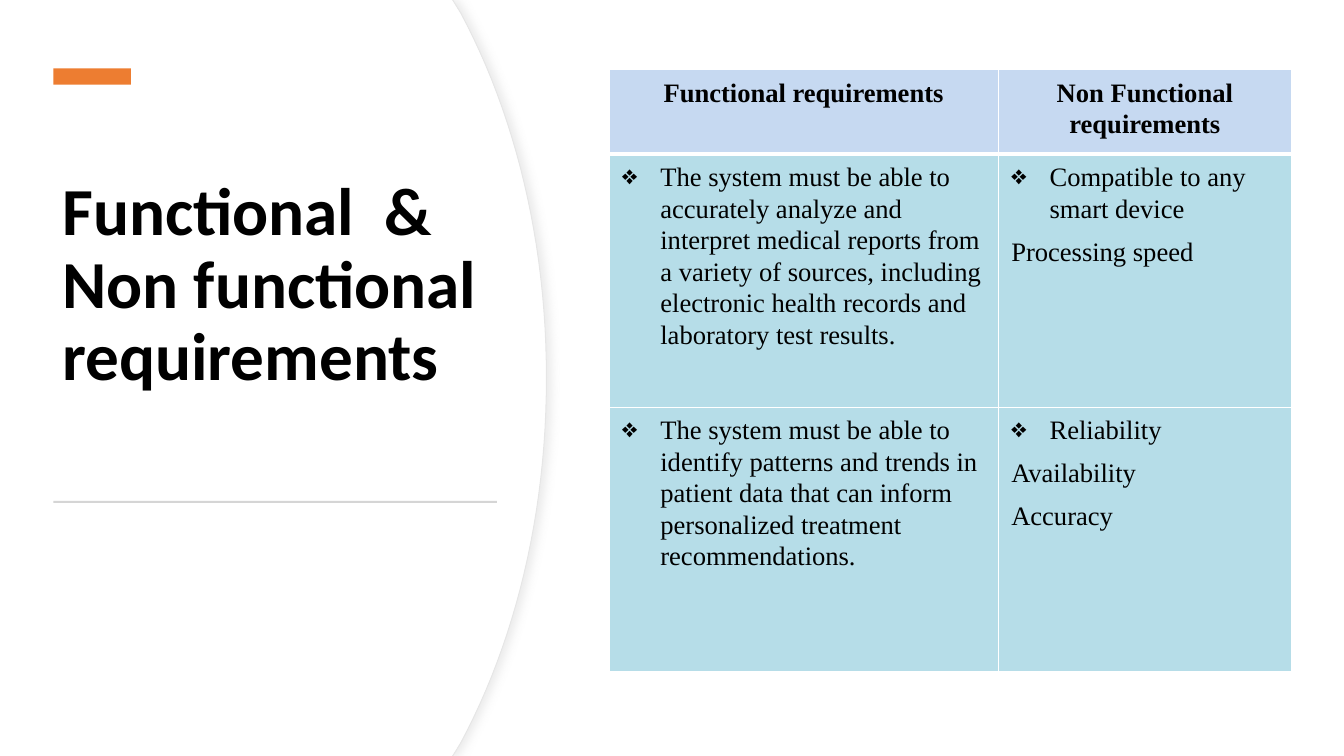
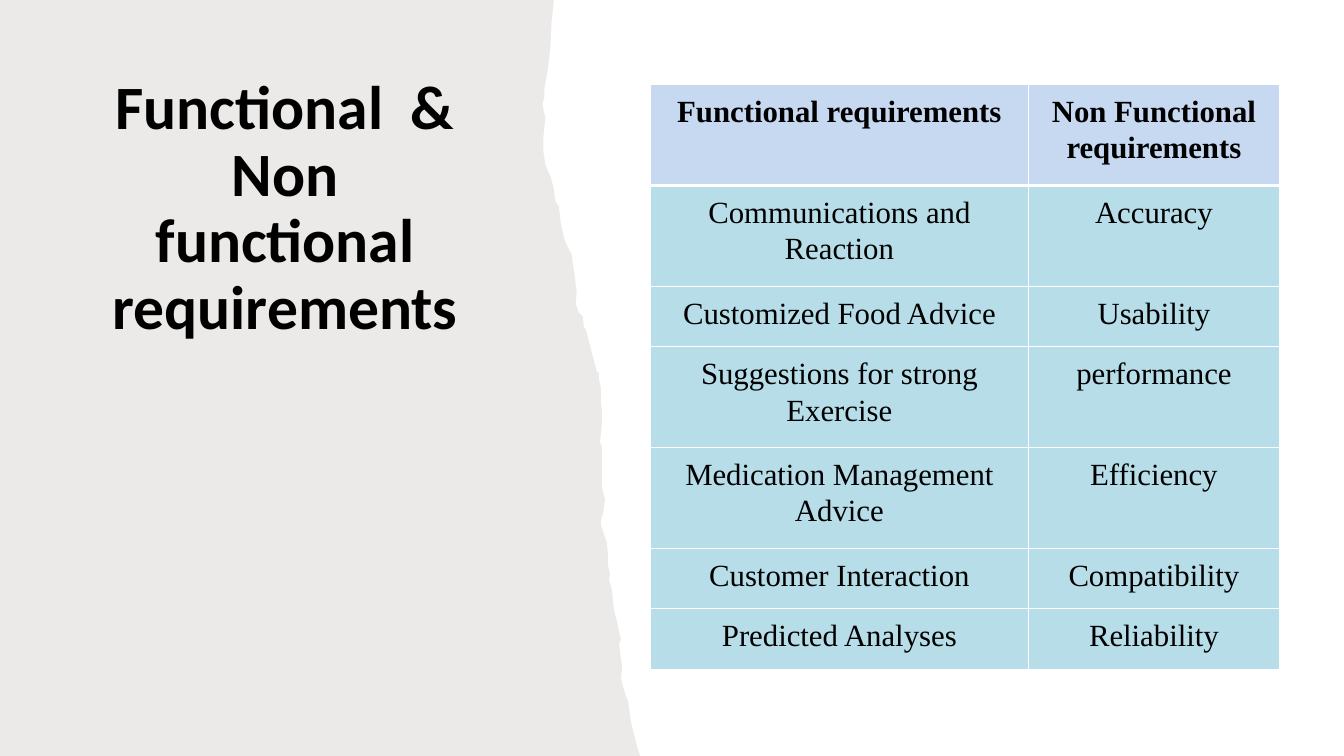
from lxml import etree
from pptx import Presentation
from pptx.dml.color import RGBColor
from pptx.enum.shapes import MSO_SHAPE
from pptx.enum.text import MSO_ANCHOR, PP_ALIGN
from pptx.oxml.ns import qn
from pptx.util import Inches, Pt

RECTANGLE = MSO_SHAPE.RECTANGLE
LEFT, CENTER = PP_ALIGN.LEFT, PP_ALIGN.CENTER
BOTTOM = MSO_ANCHOR.BOTTOM

COLORS = {
    "white": "FFFFFF", "text": "000000", "accent": "ED7D31", "rule": "D5D5D5",
    "outline": "E6E6E6", "shadow": "D9D9D9", "paper": "82766A",
    "header": "C6D9F1", "body": "B6DDE8",
}
TITLE_FONT, TABLE_FONT = "Calibri", "Times New Roman"
SLIDE_WIDTH, SLIDE_HEIGHT = 13.33, 7.5

# Content: a cell is a list of paragraphs
TITLE = "Functional  & Non functional requirements"
HEADER = (["Functional requirements"], ["Non Functional requirements"])
DETAILED_ROWS = [
    HEADER,
    (["The system must be able to accurately analyze and interpret medical reports "
      "from a variety of sources, including electronic health records and "
      "laboratory test results."],
     ["Compatible to any smart device", "Processing speed"]),
    (["The system must be able to identify patterns and trends in patient data "
      "that can inform personalized treatment recommendations."],
     ["Reliability", "Availability", "Accuracy"]),
]
SHORT_ROWS = [HEADER] + [([functional], [quality]) for functional, quality in (
    ("Communications and Reaction", "Accuracy"),
    ("Customized Food Advice", "Usability"),
    ("Suggestions for strong Exercise", "performance"),
    ("Medication Management Advice", "Efficiency"),
    ("Customer Interaction", "Compatibility"),
    ("Predicted Analyses", "Reliability"),
)]

# Right edge of the torn paper, from top to bottom
TORN_EDGE = [
    (5.49, 0), (5.49, 0.05), (5.47, 0.22), (5.46, 0.45), (5.44, 0.64), (5.4, 0.88),
    (5.4, 0.96), (5.38, 1.03), (5.39, 1.09), (5.41, 1.17), (5.39, 1.35), (5.39, 1.51),
    (5.4, 1.57), (5.41, 1.64), (5.44, 1.71), (5.46, 1.75), (5.49, 1.86), (5.51, 2),
    (5.54, 2.04), (5.55, 2.11), (5.56, 2.2), (5.58, 2.3), (5.6, 2.38), (5.64, 2.47),
    (5.67, 2.52), (5.68, 2.61), (5.7, 2.74), (5.72, 2.9), (5.71, 3.01), (5.74, 3.1),
    (5.78, 3.14), (5.79, 3.24), (5.81, 3.27), (5.84, 3.38), (5.87, 3.5), (5.92, 3.69),
    (5.94, 3.7), (5.94, 3.76), (5.96, 3.85), (5.96, 3.99), (5.97, 4.08), (5.97, 4.2),
    (5.95, 4.39), (5.97, 4.43), (5.97, 4.48), (5.97, 4.73), (5.97, 4.84), (5.99, 4.91),
    (6, 4.96), (5.99, 5.02), (5.98, 5.1), (5.96, 5.16), (5.96, 5.21), (5.99, 5.3),
    (6.02, 5.39), (6.03, 5.51), (6.03, 5.61), (6.05, 5.69), (6.04, 5.75), (6.07, 5.86),
    (6.08, 5.97), (6.09, 6.06), (6.12, 6.17), (6.14, 6.27), (6.16, 6.34), (6.14, 6.39),
    (6.15, 6.47), (6.17, 6.62), (6.16, 6.73), (6.18, 6.82), (6.21, 6.91), (6.23, 6.96),
    (6.26, 7.17), (6.33, 7.45), (6.35, 7.5),
]


def rgb(name):
    return RGBColor.from_string(COLORS[name])


def add_xml(parent, tag, **attributes):
    return etree.SubElement(parent, qn(tag), attributes)


def paint(shape, fill, line=None):
    shape.shadow.inherit = False
    shape.fill.solid()
    shape.fill.fore_color.rgb = rgb(fill)
    if line:
        shape.line.color.rgb = rgb(line)
        shape.line.width = Pt(0.75)
    else:
        shape.line.fill.background()


def add_panel(slide, edge, fill, line=None):
    """Fill the slide from its left side to the given right edge."""
    points = [(Inches(x), Inches(y)) for x, y in edge + [(0, SLIDE_HEIGHT)]]
    builder = slide.shapes.build_freeform(0, 0)
    builder.add_line_segments(points, close=True)
    shape = builder.convert_to_shape()
    paint(shape, fill, line)
    return shape


def add_bar(slide, left, top, width, height, fill):
    shape = slide.shapes.add_shape(
        RECTANGLE, Inches(left), Inches(top), Inches(width), Inches(height))
    paint(shape, fill)


def format_text(paragraph, font, size, bold, align, spacing):
    paragraph.alignment = align
    paragraph.line_spacing = spacing
    for run in paragraph.runs:
        run.font.name = font
        run.font.size = Pt(size)
        run.font.bold = bold
        run.font.color.rgb = rgb("text")


def add_title(slide, left, top, width, height, size, align):
    box = slide.shapes.add_textbox(
        Inches(left), Inches(top), Inches(width), Inches(height))
    frame = box.text_frame
    frame.word_wrap = True
    frame.vertical_anchor = BOTTOM
    frame.text = TITLE
    format_text(frame.paragraphs[0], TITLE_FONT, size, True, align, 0.9)


def set_borders(cell, top, bottom):
    properties = cell._tc.get_or_add_tcPr()
    for side, width in (("L", 1), ("R", 1), ("T", top), ("B", bottom)):
        line = add_xml(properties, f"a:ln{side}", w=str(Pt(width)))
        fill = add_xml(line, "a:solidFill")
        add_xml(fill, "a:srgbClr", val=COLORS["white"])


def set_hanging(paragraph, bullet):
    properties = paragraph._p.get_or_add_pPr()
    properties.set("marL", str(Inches(0.38)))
    properties.set("indent", str(-Inches(0.38)))
    if bullet:
        add_xml(properties, "a:buChar", char="❖")


def add_requirements(slide, left, top, columns, heights, rows, size, margins, bulleted):
    frame = slide.shapes.add_table(
        len(rows), len(columns), Inches(left), Inches(top),
        Inches(sum(columns)), Inches(sum(heights)))
    table = frame.table
    table.first_row = table.horz_banding = False
    for column, width in zip(table.columns, columns):
        column.width = Inches(width)
    for row, height in zip(table.rows, heights):
        row.height = Inches(height)

    side, edge = (Inches(margin) for margin in margins)
    for row_index, row in enumerate(rows):
        is_header = row_index == 0
        for column_index, texts in enumerate(row):
            cell = table.cell(row_index, column_index)
            cell.margin_left = cell.margin_right = side
            cell.margin_top = cell.margin_bottom = edge
            set_borders(cell, 3 if row_index == 1 else 1, 3 if is_header else 1)
            cell.fill.solid()
            cell.fill.fore_color.rgb = rgb("header" if is_header else "body")
            cell.text_frame.text = "\n".join(texts)
            hanging = bulleted and not is_header
            for index, paragraph in enumerate(cell.text_frame.paragraphs):
                if hanging:
                    set_hanging(paragraph, bullet=index == 0)
                format_text(paragraph, TABLE_FONT, size, is_header,
                            LEFT if hanging else CENTER, 1.07)
                paragraph.space_after = Pt(8)


def bezier(points, steps=24):
    """Sample a cubic curve given by four points."""
    weights = (1, 3, 3, 1)
    return [
        tuple(sum(weight * (1 - t) ** (3 - k) * t ** k * point[axis]
                  for k, (weight, point) in enumerate(zip(weights, points)))
              for axis in (0, 1))
        for t in (step / steps for step in range(steps + 1))]


def curved_edge(bulge):
    """Symmetric arc that reaches furthest right at mid-height."""
    upper = [(bulge - 0.93, 0)] + bezier([
        (bulge - 0.85, 0.13), (bulge - 0.31, 1.14), (bulge, 2.39),
        (bulge, SLIDE_HEIGHT / 2)])
    lower = [(x, SLIDE_HEIGHT - y) for x, y in reversed(upper[:-1])]
    return upper + lower


def add_soft_shadow(shape):
    effects = shape._element.spPr.find(qn("a:effectLst"))
    shadow = add_xml(effects, "a:outerShdw", blurRad=str(Pt(6)), dist=str(Pt(3)),
                     dir="0", algn="l", rotWithShape="0")
    color = add_xml(shadow, "a:srgbClr", val=COLORS["shadow"])
    add_xml(color, "a:alpha", val="50000")


def build_detailed_slide(slide):
    add_soft_shadow(add_panel(slide, curved_edge(5.42), "white", "outline"))
    add_panel(slide, curved_edge(5.41), "white")
    add_title(slide, 0.52, 1.23, 4.4, 2.74, 48, LEFT)
    add_bar(slide, 0.53, 0.68, 0.77, 0.16, "accent")
    add_bar(slide, 0.53, 4.97, 4.4, 0.02, "rule")
    add_requirements(slide, 6.04, 0.69, (3.86, 2.91), (0.84, 2.51, 2.62),
                     DETAILED_ROWS, 19, (0.13, 0.07), bulleted=True)


def build_short_slide(slide):
    paper = add_panel(slide, TORN_EDGE, "paper")
    color = paper._element.spPr.find(qn("a:solidFill"))[0]
    add_xml(color, "a:alpha", val="15000")
    add_title(slide, 0.85, 0.6, 3.96, 2.85, 44, CENTER)
    add_requirements(slide, 6.45, 0.84, (3.75, 2.49), (1, 1, 0.6, 1, 1, 0.6, 0.6),
                     SHORT_ROWS, 22, (0.16, 0.08), bulleted=False)


def main():
    presentation = Presentation()
    presentation.slide_width = Inches(SLIDE_WIDTH)
    presentation.slide_height = Inches(SLIDE_HEIGHT)
    blank = presentation.slide_layouts[6]
    for build in (build_detailed_slide, build_short_slide):
        build(presentation.slides.add_slide(blank))
    presentation.save("out.pptx")


if __name__ == "__main__":
    main()
